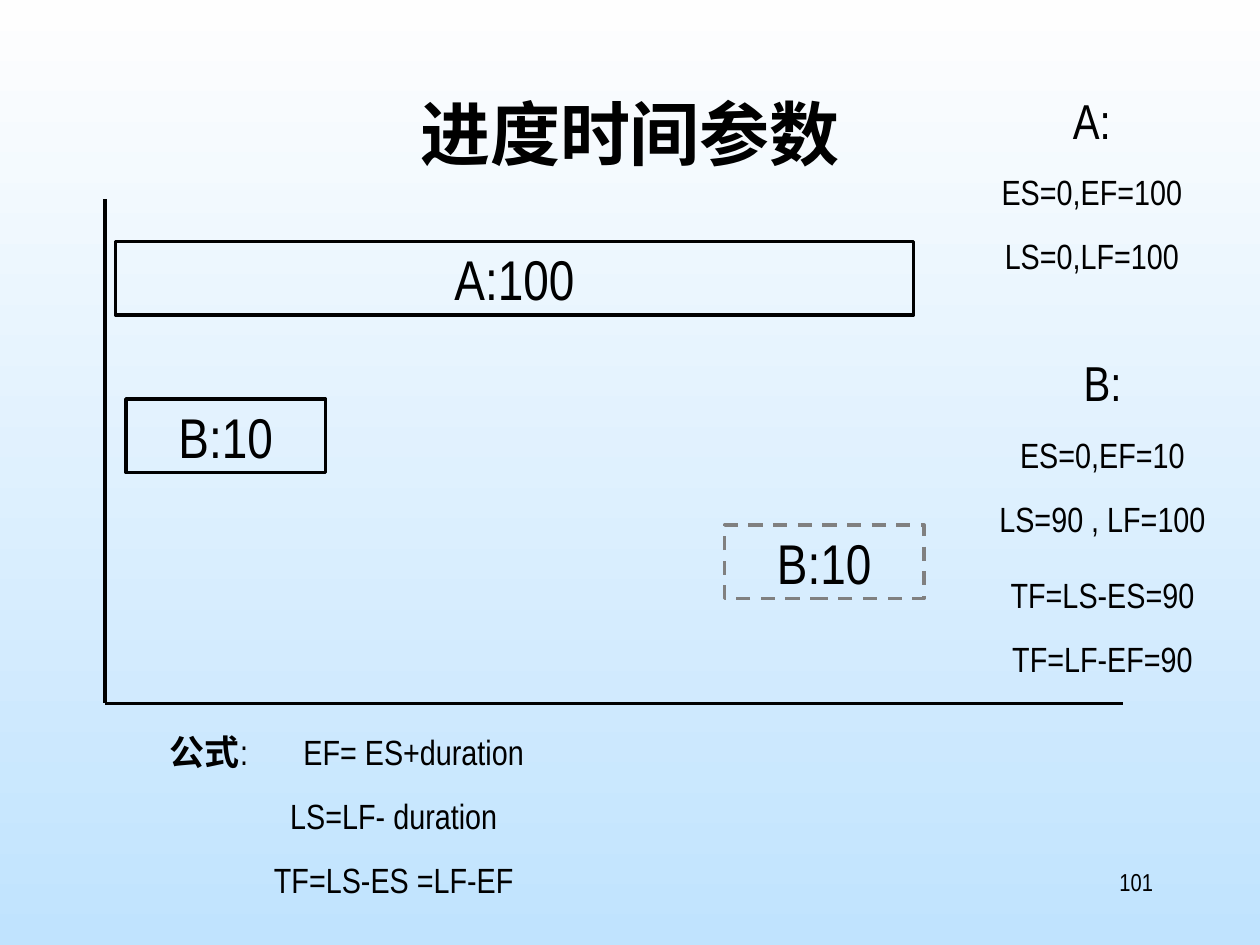
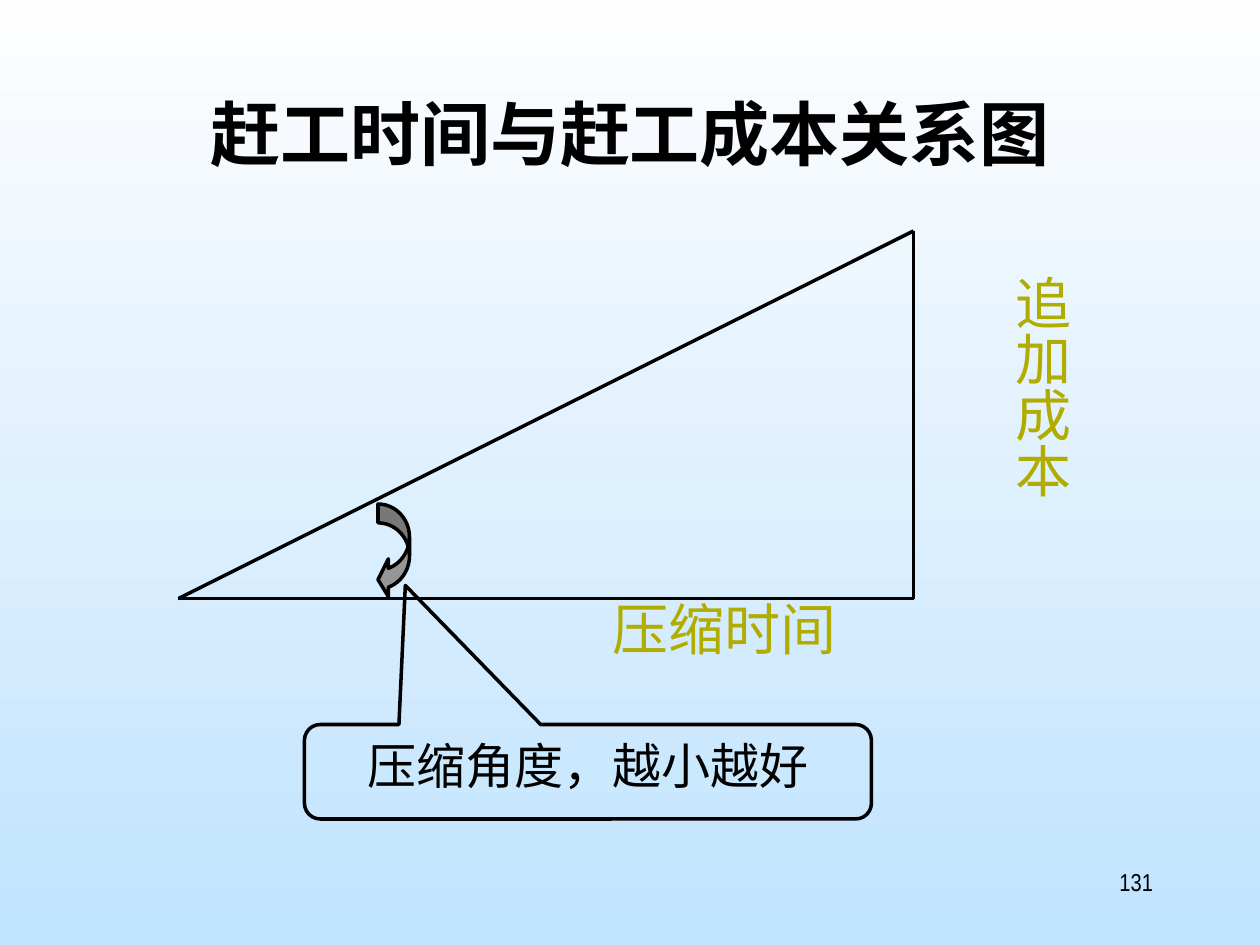
from lxml import etree
from pptx import Presentation
from pptx.dml.color import RGBColor
from pptx.enum.dml import MSO_LINE
from pptx.enum.shapes import MSO_CONNECTOR, MSO_SHAPE
from pptx.enum.text import MSO_ANCHOR, MSO_AUTO_SIZE, PP_ALIGN
from pptx.oxml.ns import qn
from pptx.util import Inches, Pt

LEFT, CENTER, RIGHT = PP_ALIGN.LEFT, PP_ALIGN.CENTER, PP_ALIGN.RIGHT
TOP, MIDDLE = MSO_ANCHOR.TOP, MSO_ANCHOR.MIDDLE
DASH = MSO_LINE.DASH
STRAIGHT = MSO_CONNECTOR.STRAIGHT
RECT = MSO_SHAPE.RECTANGLE
CALLOUT = MSO_SHAPE.ROUNDED_RECTANGULAR_CALLOUT
CURVED_ARROW = MSO_SHAPE.CURVED_LEFT_ARROW

COLORS = {
    "ink": "000000",
    "gray": "808080",
    "arrow": "969696",
    "olive": "B0AC00",
    "sky_top": "FEFEFE",
    "sky_bottom": "C0E3FE",
}
LATIN, CJK = "Arial Narrow", "Noto Sans CJK SC"
COLUMNS = 120  # square grid: 120 columns by 90 rows
BAR_ROWS = 7


def rgb(name):
    return RGBColor.from_string(COLORS[name])


class Deck:
    """Shared style and the slide being built; lengths are grid units."""

    def __init__(self):
        self.prs = Presentation()
        self.prs.slide_width, self.prs.slide_height = Inches(10), Inches(7.5)
        self.unit = self.prs.slide_width / COLUMNS
        fill = self.prs.slide_master.background.fill
        fill.gradient()
        fill.gradient_angle = 270
        for stop, name, pos in zip(fill.gradient_stops,
                                   ("sky_top", "sky_bottom"), (0, 1)):
            stop.color.rgb = rgb(name)
            stop.position = pos

    def grid(self, *lengths):
        return [round(n * self.unit) for n in lengths]

    def font(self, p, size, color="ink", bold=False, latin=LATIN):
        for r in p.runs:
            r.font.size, r.font.bold = Pt(size), bold
            r.font.color.rgb = rgb(color)
            r.font.name = latin
            ea = etree.SubElement(r.font._element, qn("a:ea"))
            ea.set("typeface", CJK)

    def slide(self, title, number):
        self.s = self.prs.slides.add_slide(self.prs.slide_layouts[5])
        sp = self.s.shapes.title
        sp.left, sp.top, sp.width, sp.height = self.grid(9, 8, 102, 15)
        tf = sp.text_frame
        tf.text = title
        tf.auto_size, tf.vertical_anchor = MSO_AUTO_SIZE.NONE, TOP
        tf.paragraphs[0].alignment = CENTER
        self.font(tf.paragraphs[0], 40, bold=True, latin=CJK)
        self.text((86, 82, 25, 6), [(number, 14)], align=RIGHT, grow=False)

    def text(self, box, lines, color="ink", align=CENTER, grow=True):
        sp = self.s.shapes.add_textbox(*self.grid(*box))
        tf = sp.text_frame
        tf.word_wrap = True
        tf.auto_size = (MSO_AUTO_SIZE.SHAPE_TO_FIT_TEXT if grow
                        else MSO_AUTO_SIZE.NONE)
        tf.text = "\n".join(line for line, _ in lines)
        for i, (p, (_, size)) in enumerate(zip(tf.paragraphs, lines)):
            p.alignment = align
            if i:
                p.space_before = Pt(size * 0.625)
            self.font(p, size, color)
        return sp

    def shape(self, kind, box, label="", size=32, line="ink", dash=None,
              fill=None, anchor=MIDDLE, wrap=False, adjust=()):
        sp = self.s.shapes.add_shape(kind, *self.grid(*box))
        sp.shadow.inherit = False
        for i, value in enumerate(adjust):
            sp.adjustments[i] = value
        if fill:
            sp.fill.solid()
            sp.fill.fore_color.rgb = rgb(fill)
        else:
            sp.fill.background()
        sp.line.color.rgb, sp.line.width = rgb(line), Pt(2)
        if dash:
            sp.line.dash_style = dash
        if label:
            tf = sp.text_frame
            tf.text = label
            tf.word_wrap, tf.vertical_anchor = wrap, anchor
            tf.paragraphs[0].alignment = CENTER
            self.font(tf.paragraphs[0], size)

    def lines(self, *points):
        for start, end in zip(points, points[1:]):
            c = self.s.shapes.add_connector(STRAIGHT, *self.grid(*start, *end))
            c.line.color.rgb, c.line.width = rgb("ink"), Pt(2)
            etree.SubElement(c.element.spPr, qn("a:effectLst"))


def schedule_slide(deck):
    deck.slide("进度时间参数", "101")

    # Axes and activity bars
    deck.lines((10, 19), (10, 67), (107, 67))
    for label, left, top, width, style in (
        ("A:100", 11, 23, 76, {}),
        ("B:10", 12, 38, 19, {}),
        ("B:10", 69, 50, 19, {"line": "gray", "dash": DASH}),
    ):
        deck.shape(RECT, (left, top, width, BAR_ROWS), label, **style)

    # Early and late dates of each activity
    deck.text((92, 8, 24, 19),
              [("A:", 28), ("ES=0,EF=100", 20), ("LS=0,LF=100", 20)])
    deck.text((93, 33, 24, 19),
              [("B:", 28), ("ES=0,EF=10", 20), ("LS=90 , LF=100", 20)])

    # Formulas, with a tab after the bold heading
    sp = deck.text((15, 69, 45, 17.4),
                   [("", 20), ("LS=LF- duration", 20),
                    ("TF=LS-ES =LF-EF", 20)])
    p = sp.text_frame.paragraphs[0]
    p.alignment = LEFT
    tabs = etree.SubElement(p._p.get_or_add_pPr(), qn("a:tabLst"))
    etree.SubElement(tabs, qn("a:tab"), pos=str(Inches(1.06)), algn="l")
    for part in ("公式", ":\tEF= ES+duration"):
        p.add_run().text = part
    deck.font(p, 20)
    p.runs[0].font.bold = True

    # Total float
    deck.text((94, 54, 22, 11.3), [("TF=LS-ES=90", 20), ("TF=LF-EF=90", 20)])


def crashing_slide(deck):
    deck.slide("赶工时间与赶工成本关系图", "131")

    # Triangle of time against cost
    corner, right, peak = (17, 57), (87, 57), (87, 22)
    deck.lines(corner, right, peak, corner)

    # Angle mark and its callout
    deck.shape(CURVED_ARROW, (36, 48, 3, 9), fill="arrow",
               adjust=(0.6, 1.2, 0.33))
    deck.shape(CALLOUT, (29, 69, 54, 9), "压缩角度，越小越好", 28,
               anchor=TOP, wrap=True, adjust=(-0.322, -1.972, 0.167))

    # Side labels
    cost = deck.text((94.2, 25, 8.8, 31), [("追加成本", 32)], "olive")
    cost.element.txBody.bodyPr.set("vert", "eaVert")
    tf = cost.text_frame
    tf.margin_left = tf.margin_right = Inches(0.05)
    tf.margin_top = tf.margin_bottom = Inches(0.1)
    deck.text((57, 56, 24, 7.7), [("压缩时间", 32)], "olive")


def main():
    deck = Deck()
    schedule_slide(deck)
    crashing_slide(deck)
    deck.prs.save("out.pptx")


if __name__ == "__main__":
    main()
